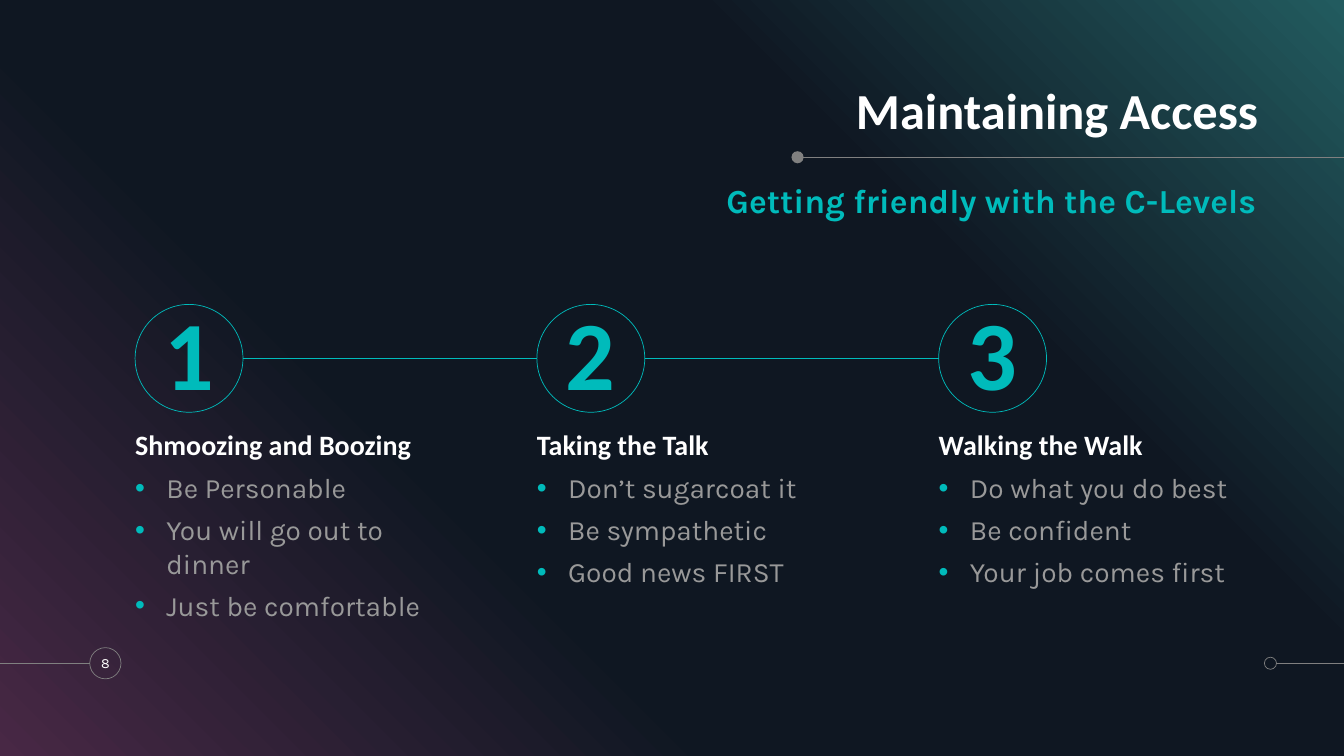
from dataclasses import dataclass

from lxml.etree import SubElement
from pptx import Presentation
from pptx.dml.color import RGBColor
from pptx.enum.shapes import MSO_CONNECTOR, MSO_SHAPE
from pptx.enum.text import MSO_ANCHOR, MSO_AUTO_SIZE, PP_ALIGN
from pptx.oxml.ns import qn
from pptx.util import Inches, Pt


@dataclass(frozen=True)
class Theme:
    accent: str = "00BBBB"
    white: str = "FFFFFF"
    muted: str = "999999"
    rule: str = "808080"
    backdrop: tuple = ((0, "482845"), (34, "0F1722"), (69, "0F1722"), (100, "225B5F"))
    heading_font: str = "Calibri"
    body_font: str = "Karla"
    title_size: int = 36
    subtitle_size: int = 24
    number_size: int = 70
    text_size: int = 20
    page_size: int = 10
    line_width: float = 0.5


THEME = Theme()
WIDTH, HEIGHT = 13.33, 7.5
COLUMN_LEFT, COLUMN_PITCH, COLUMN_WIDTH = 1.34, 3.985, 3.22
COLUMN_TOP, CIRCLE = 3.02, 1.07
INDENT = 0.31

STEPS = [
    ("Shmoozing and Boozing",
     ["Be Personable", "You will go out to dinner", "Just be comfortable"]),
    ("Taking the Talk",
     ["Don’t sugarcoat it", "Be sympathetic", "Good news FIRST"]),
    ("Walking the Walk",
     ["Do what you do best", "Be confident", "Your job comes first"]),
]


# Basic parts
def place(shape, left, top, width, height):
    shape.left, shape.top = Inches(left), Inches(top)
    shape.width, shape.height = Inches(width), Inches(height)


def set_frame(shape, anchor):
    frame = shape.text_frame
    frame.word_wrap = True
    frame.auto_size = MSO_AUTO_SIZE.NONE
    frame.vertical_anchor = anchor
    frame.margin_left = frame.margin_right = frame.margin_top = frame.margin_bottom = 0
    return frame


def style(para, font, size, color, bold=False, align=PP_ALIGN.LEFT, spacing=1.0):
    para.alignment = align
    para.line_spacing = spacing
    para.font.name = font
    para.font.size = Pt(size)
    para.font.bold = bold
    para.font.color.rgb = RGBColor.from_string(color)


def write(shape, text, anchor, *args, **kwargs):
    para = set_frame(shape, anchor).paragraphs[0]
    para.text = text
    para.space_before = Pt(0)
    style(para, *args, **kwargs)


def add_rule(page, start, end, color):
    rule = page.shapes.add_connector(
        MSO_CONNECTOR.STRAIGHT, *(Inches(value) for value in (*start, *end)))
    rule.line.color.rgb = RGBColor.from_string(color)
    rule.line.width = Pt(THEME.line_width)
    SubElement(rule._element.spPr, qn("a:effectLst"))


def add_circle(page, left, top, size, color, filled=False):
    circle = page.shapes.add_shape(
        MSO_SHAPE.OVAL, Inches(left), Inches(top), Inches(size), Inches(size))
    circle.shadow.inherit = False
    if filled:
        circle.fill.solid()
        circle.fill.fore_color.rgb = RGBColor.from_string(color)
        circle.line.fill.background()
    else:
        circle.fill.background()
        circle.line.color.rgb = RGBColor.from_string(color)
        circle.line.width = Pt(THEME.line_width)
    return circle


def add_bullet(para):
    properties = para._p.get_or_add_pPr()
    properties.set("marL", str(Inches(INDENT)))
    properties.set("indent", str(-Inches(INDENT)))
    bullet_color = SubElement(properties, qn("a:buClr"))
    SubElement(bullet_color, qn("a:srgbClr"), val=THEME.accent)
    SubElement(properties, qn("a:buFont"), typeface="Arial")
    SubElement(properties, qn("a:buChar"), char="•")


# Regions
def paint_backdrop(page):
    fill = page.background.fill
    fill.gradient()
    fill.gradient_angle = 45
    stops = page.background._cSld.find(".//" + qn("a:gsLst"))
    for stop in list(stops):
        stops.remove(stop)
    for position, color in THEME.backdrop:
        stop = SubElement(stops, qn("a:gs"), pos=str(position * 1000))
        SubElement(stop, qn("a:srgbClr"), val=color)


def build_header(page, subtitle, left, top, width):
    title = page.shapes.title
    place(title, left, top, width, 0.62)
    write(title, "Maintaining Access", MSO_ANCHOR.BOTTOM, THEME.heading_font,
          THEME.title_size, THEME.white, True, PP_ALIGN.RIGHT, 0.9)
    place(subtitle, left, top + 1.01, width - 0.02, 0.62)
    write(subtitle, "Getting friendly with the C-Levels", MSO_ANCHOR.TOP,
          THEME.body_font, THEME.subtitle_size, THEME.accent, True, PP_ALIGN.RIGHT)
    # Rule from the dot to the slide edge
    rule_y = top + 0.79
    add_rule(page, (left + 2.36, rule_y), (WIDTH, rule_y), THEME.rule)
    add_circle(page, left + 2.27, rule_y - 0.06, 0.12, THEME.rule, filled=True)


def build_footer(page, middle):
    add_rule(page, (0, middle), (0.89, middle), THEME.rule)
    badge = add_circle(page, 0.89, middle - 0.155, 0.31, THEME.rule)
    write(badge, "8", MSO_ANCHOR.MIDDLE, THEME.body_font, THEME.page_size,
          THEME.white, align=PP_ALIGN.CENTER)
    add_rule(page, (12.66, middle), (WIDTH, middle), THEME.rule)
    add_circle(page, 12.54, middle - 0.06, 0.12, THEME.rule)


def build_step(page, body, number, heading, points, left, top, width):
    circle = add_circle(page, left, top, CIRCLE, THEME.accent)
    write(circle, str(number), MSO_ANCHOR.MIDDLE, THEME.heading_font,
          THEME.number_size, THEME.accent, True, PP_ALIGN.CENTER, 0.9)
    circle.text_frame.word_wrap = False

    box = page.shapes.add_textbox(
        Inches(left), Inches(top + 1.2), Inches(width), Inches(0.36))
    write(box, heading, MSO_ANCHOR.BOTTOM, THEME.heading_font,
          THEME.text_size, THEME.white, True, spacing=0.9)

    place(body, left, top + 1.65, width, 1.55)
    frame = set_frame(body, MSO_ANCHOR.TOP)
    frame.text = "\n".join(points)
    for index, para in enumerate(frame.paragraphs):
        add_bullet(para)
        para.space_before = Pt(6 if index else 0)
        style(para, THEME.body_font, THEME.text_size, THEME.muted)


def build_steps(page, bodies, left, top):
    for index, (body, (heading, points)) in enumerate(zip(bodies, STEPS)):
        step_left = left + index * COLUMN_PITCH
        build_step(page, body, index + 1, heading, points, step_left, top, COLUMN_WIDTH)
        if index:
            middle = top + CIRCLE / 2
            add_rule(page, (step_left - COLUMN_PITCH + CIRCLE, middle),
                     (step_left, middle), THEME.accent)


def main():
    deck = Presentation()
    deck.slide_width, deck.slide_height = Inches(WIDTH), Inches(HEIGHT)
    # The comparison layout has a title and four body placeholders
    page = deck.slides.add_slide(deck.slide_layouts.get_by_name("Comparison"))
    _, subtitle, *bodies = page.placeholders
    paint_backdrop(page)
    build_header(page, subtitle, 5.58, 0.77, 6.9)
    build_steps(page, bodies, COLUMN_LEFT, COLUMN_TOP)
    build_footer(page, 6.58)
    deck.save("out.pptx")


if __name__ == "__main__":
    main()
